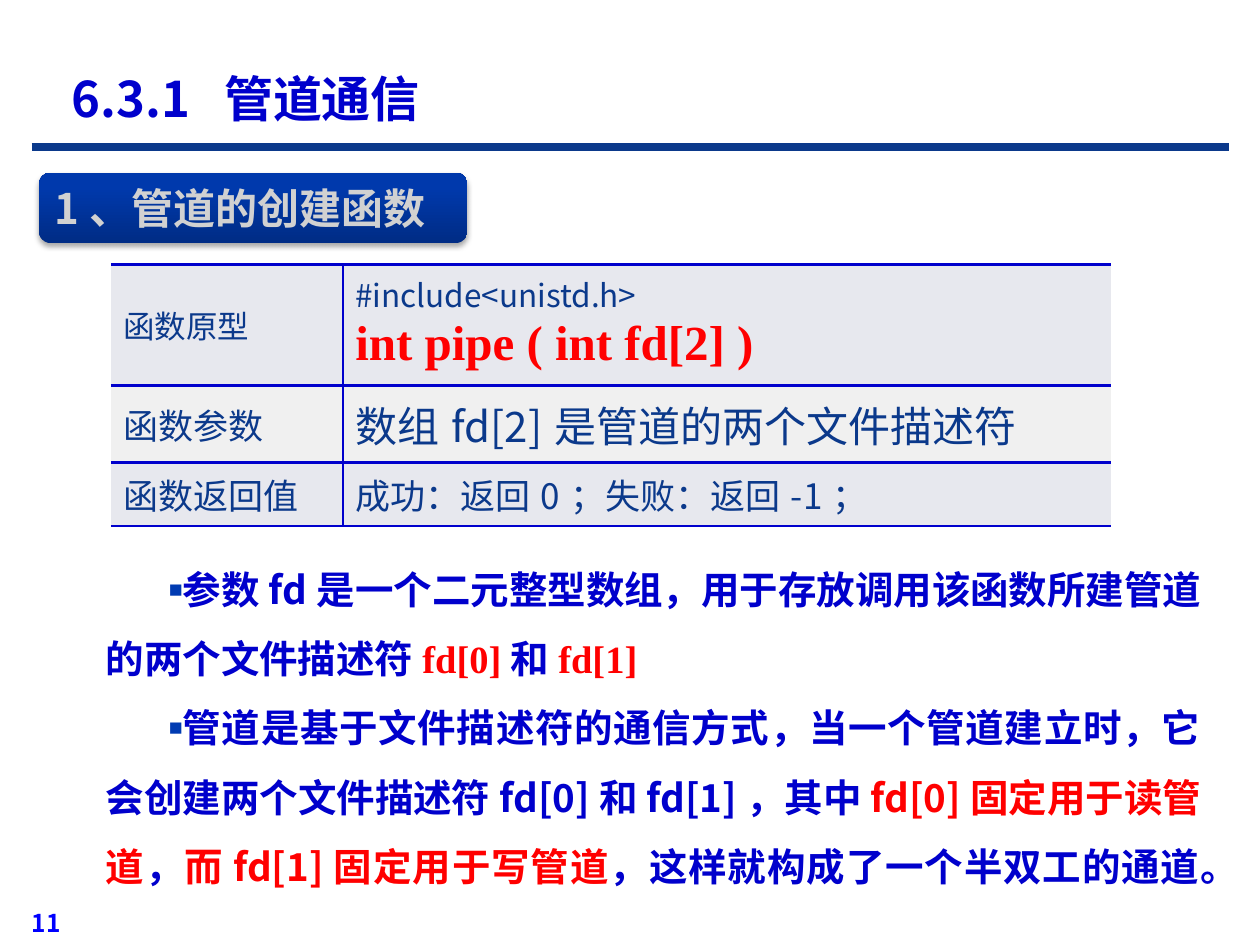
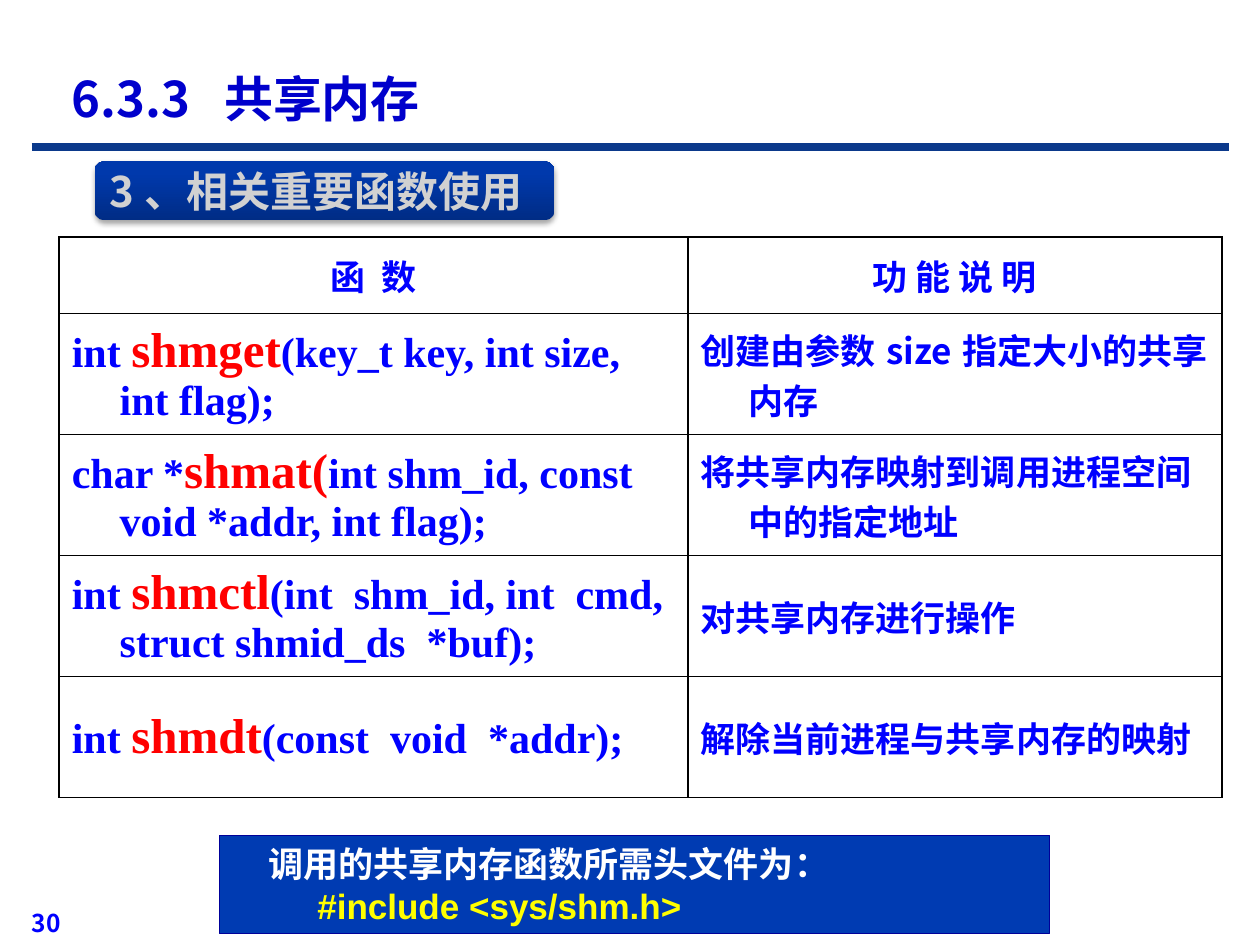
from dataclasses import dataclass
from typing import NamedTuple

from lxml.etree import SubElement
from pptx import Presentation
from pptx.dml.color import RGBColor
from pptx.enum.shapes import MSO_CONNECTOR as Link, MSO_SHAPE as Form
from pptx.enum.text import MSO_ANCHOR as Anchor, MSO_AUTO_SIZE as Fit, PP_ALIGN as Align
from pptx.oxml.ns import qn
from pptx.util import Inches, Pt

HEX = {
    "title": "0000CC", "bar": "0B398B", "blue": "0000FF", "red": "FF0000",
    "deep": "002C85", "mid": "0039AC", "pale": "D1D1D1", "mark": "003BB2",
    "edge": "000099", "white": "FFFFFF", "yellow": "FFFF00", "black": "000000",
    "band": "E7E8EE", "light": "F0F0F0",
}
NOTO, TIMES, ARIAL = "Noto Sans CJK SC", "Times New Roman", "Arial"


class Look(NamedTuple):
    size: float
    color: str
    face: str = NOTO
    bold: bool = True
    gap: float = 0  # extra letter spacing in points


class Run(NamedTuple):
    text: str
    look: Look


@dataclass
class Para:
    runs: list[Run]
    align: Align = Align.LEFT
    left: float = 0
    first: float = 0
    lead: float | None = None
    bullet: bool = False


class Box(NamedTuple):
    x: float
    y: float
    w: float
    h: float

    def emu(self) -> list[int]:
        return [Inches(v) for v in self]


@dataclass
class Page:
    number: str
    title: tuple[str, str]
    head: str
    spot: Box


def rgb(name: str) -> RGBColor:
    return RGBColor.from_string(HEX[name])


def one(text: str, look: Look, **more) -> Para:
    return Para([Run(text, look)], **more)


def apart(pair: tuple[str, str], look: Look, gap: float, **more) -> Para:
    """Two words with a widened space between them."""
    head, tail = pair
    wide = look._replace(gap=gap)
    return Para([Run(head, look), Run(" ", wide), Run(tail, look)], **more)


# Text
def dress(font, look: Look) -> None:
    font.size, font.bold, font.name = Pt(look.size), look.bold, look.face
    font.color.rgb = rgb(look.color)
    SubElement(font._element, qn("a:ea"), typeface=NOTO)
    if look.gap:
        font._element.set("spc", str(round(look.gap * 100)))


def layer(props, para: Para) -> None:
    """Add indents and bullet to the paragraph properties."""
    props.set("marL", str(Inches(para.left)))
    props.set("indent", str(Inches(para.first)))
    if para.bullet:
        tint = SubElement(props, qn("a:buClr"))
        SubElement(tint, qn("a:srgbClr"), val=HEX["mark"])
        SubElement(props, qn("a:buSzPct"), val="60000")
        SubElement(props, qn("a:buFont"), typeface=ARIAL)
        SubElement(props, qn("a:buChar"), char="■")


def write(frame, paras: list[Para], anchor: Anchor | None = None) -> None:
    if anchor is not None:
        frame.word_wrap, frame.auto_size = True, Fit.NONE
        frame.vertical_anchor = anchor
    for i, para in enumerate(paras):
        line = frame.paragraphs[0] if i == 0 else frame.add_paragraph()
        layer(line._p.get_or_add_pPr(), para)
        line.alignment = para.align
        if para.lead:
            line.line_spacing = para.lead
        same = len({run.look for run in para.runs}) == 1
        if same:
            dress(line.font, para.runs[0].look)
        for run in para.runs:
            part = line.add_run()
            part.text = run.text
            if not same:
                dress(part.font, run.look)


# Shapes
def block(slide, form: Form, box: Box, fill: str = "", edge: str = ""):
    shape = slide.shapes.add_shape(form, *box.emu())
    shape.shadow.inherit = False
    if fill:
        shape.fill.solid()
        shape.fill.fore_color.rgb = rgb(fill)
    if edge:
        shape.line.color.rgb, shape.line.width = rgb(edge), Pt(0.75)
    else:
        shape.line.fill.background()
    return shape


def badge(slide, box: Box, text: str) -> None:
    shape = block(slide, Form.ROUNDED_RECTANGLE, box)
    shape.fill.gradient()
    shape.fill.gradient_angle = 90
    for stop, (tint, at) in zip(shape.fill.gradient_stops, [("deep", 0), ("mid", 0.8)]):
        stop.color.rgb, stop.position = rgb(tint), at
    glow = shape._element.spPr.find(qn("a:effectLst"))
    cast = SubElement(glow, qn("a:outerShdw"), blurRad=str(Pt(3.1)),
                      dist=str(Pt(1.8)), dir="5400000", rotWithShape="0")
    dark = SubElement(cast, qn("a:srgbClr"), val=HEX["black"])
    SubElement(dark, qn("a:alpha"), val="35000")
    write(shape.text_frame, [one(text, Look(24, "pale"))], Anchor.MIDDLE)


def start(deck, page: Page):
    """Add a slide with its title, rule, number and heading badge."""
    slide = deck.slides.add_slide(deck.slide_layouts[5])
    title = slide.shapes.title
    title.left, title.top, title.width, title.height = Box(0.47, 0.47, 4.39, 0.62).emu()
    write(title.text_frame, [apart(page.title, Look(28, "title"), 6.3)], Anchor.MIDDLE)

    rule = slide.shapes.add_connector(Link.STRAIGHT, *Box(0.25, 1.17, 9.75, 1.17).emu())
    rule.line.color.rgb, rule.line.width = rgb("bar"), Pt(4.5)
    SubElement(rule._element.spPr, qn("a:effectLst"))

    foot = slide.shapes.add_textbox(*Box(0, 7.07, 0.58, 0.42).emu())
    look = Look(14, "blue", "Noto Sans CJK JP")
    write(foot.text_frame, [one(page.number, look, align=Align.RIGHT)], Anchor.BOTTOM)
    badge(slide, page.spot, page.head)
    return slide


# Tables
def border(cell, sides: str, color: str, width: float) -> None:
    """Line the named sides of a cell and clear the others."""
    props = cell._tc.get_or_add_tcPr()
    for side in "LRTB":
        line = SubElement(props, qn(f"a:ln{side}"), w=str(Pt(width)))
        if side in sides:
            fill = SubElement(line, qn("a:solidFill"))
            SubElement(fill, qn("a:srgbClr"), val=HEX[color])
        else:
            SubElement(line, qn("a:noFill"))


def grid(slide, x: float, y: float, cols: list[float], rows: list[float],
         cells: list[list[list[Para]]], sides: list[str], color: str,
         width: float, fills: list[str]):
    box = Box(x, y, sum(cols), sum(rows))
    table = slide.shapes.add_table(len(rows), len(cols), *box.emu()).table
    table.first_row = table.horz_banding = False
    for col, size in zip(table.columns, cols):
        col.width = Inches(size)
    for r, (row, size) in enumerate(zip(table.rows, rows)):
        row.height = Inches(size)
        for c, cell in enumerate(row.cells):
            cell.vertical_anchor = Anchor.MIDDLE
            border(cell, sides[c], color, width)
            if fills:
                cell.fill.solid()
                cell.fill.fore_color.rgb = rgb(fills[r])
            else:
                cell.fill.background()
            write(cell.text_frame, cells[r][c])
    return table


# Slide on pipes
def pipe(deck) -> None:
    slide = start(deck, Page("11", ("6.3.1", "管道通信"), "1、管道的创建函数",
                             Box(0.31, 1.37, 3.4, 0.56)))
    blue, red = Look(22, "title"), Look(22, "red")
    code = Look(22, "red", TIMES)
    points = [
        [Run("参数fd是一个二元整型数组，用于存放调用该函数所建管道的两个文件描述符", blue),
         Run("fd[0]", code), Run("和", blue), Run("fd[1]", code)],
        [Run("管道是基于文件描述符的通信方式，当一个管道建立时，它会创建两个文件描述符"
             "fd[0]和fd[1]，其中", blue),
         Run("fd[0]固定用于读管道", red), Run("，", blue),
         Run("而fd[1]固定用于写管道", red),
         Run("，这样就构成了一个半双工的通道。", blue)],
    ]
    body = block(slide, Form.RECTANGLE, Box(0.5, 4.26, 9.13, 3.14), "white")
    body.text_frame.margin_left = Inches(0.34)
    write(body.text_frame,
          [Para(runs, Align.JUSTIFY, first=0.5, lead=1.5, bullet=True) for runs in points],
          Anchor.TOP)

    small, plain, large = (Look(size, "bar", bold=False) for size in (18, 20, 24))
    cells = [
        [[one("函数原型", small)],
         [one("#include<unistd.h>", small),
          one("int pipe ( int fd[2] )", Look(28, "red", TIMES))]],
        [[one("函数参数", plain)], [one("数组fd[2]是管道的两个文件描述符", large)]],
        [[one("函数返回值", plain)], [one("成功：返回0；失败：返回-1；", plain)]],
    ]
    table = grid(slide, 0.88, 2.1, [1.84, 6.1], [0.96, 0.61, 0.45], cells,
                 ["RTB", "LTB"], "title", 1.5, ["band", "light", "band"])
    table.cell(0, 1).vertical_anchor = Anchor.TOP


# Slide on shared memory
def share(deck) -> None:
    slide = start(deck, Page("30", ("6.3.3", "共享内存"), "3、相关重要函数使用",
                             Box(0.75, 1.28, 3.65, 0.47)))
    hang = {"left": 0.38, "first": -0.38}
    mid = {"align": Align.CENTER, **hang}
    text, code, name = Look(20, "blue"), Look(24, "blue", TIMES), Look(28, "red", TIMES)
    calls = [
        ("int ", "shmget", "(key_t key, int size, int flag);",
         "创建由参数size指定大小的共享内存"),
        ("char *", "shmat(", "int shm_id, const void *addr, int flag);",
         "将共享内存映射到调用进程空间中的指定地址"),
        ("int ", "shmctl", "(int  shm_id, int  cmd, struct shmid_ds  *buf);",
         "对共享内存进行操作"),
        ("int ", "shmdt", "(const  void  *addr);", "解除当前进程与共享内存的映射"),
    ]
    cells = [[[apart(("函", "数"), text, 4.5, **mid)], [one("功 能 说 明", text, **mid)]]]
    for kind, func, args, use in calls:
        runs = [Run(kind, code), Run(func, name), Run(args, code)]
        cells.append([[Para(runs, **hang)], [one(use, text, **hang)]])
    grid(slide, 0.47, 1.88, [4.99, 4.24], [0.61] + [0.96] * len(calls), cells,
         ["LRTB"] * 2, "black", 1, [])

    note = block(slide, Form.RECTANGLE, Box(1.74, 6.63, 6.59, 0.78), "mark", "edge")
    write(note.text_frame, [
        one("调用的共享内存函数所需头文件为：", Look(20, "white", ARIAL), first=0.29),
        one("#include <sys/shm.h>", Look(20, "yellow", ARIAL), first=0.68),
    ], Anchor.MIDDLE)


def main() -> None:
    deck = Presentation()
    deck.slide_width, deck.slide_height = Inches(10), Inches(7.5)
    pipe(deck)
    share(deck)
    deck.save("out.pptx")


if __name__ == "__main__":
    main()
